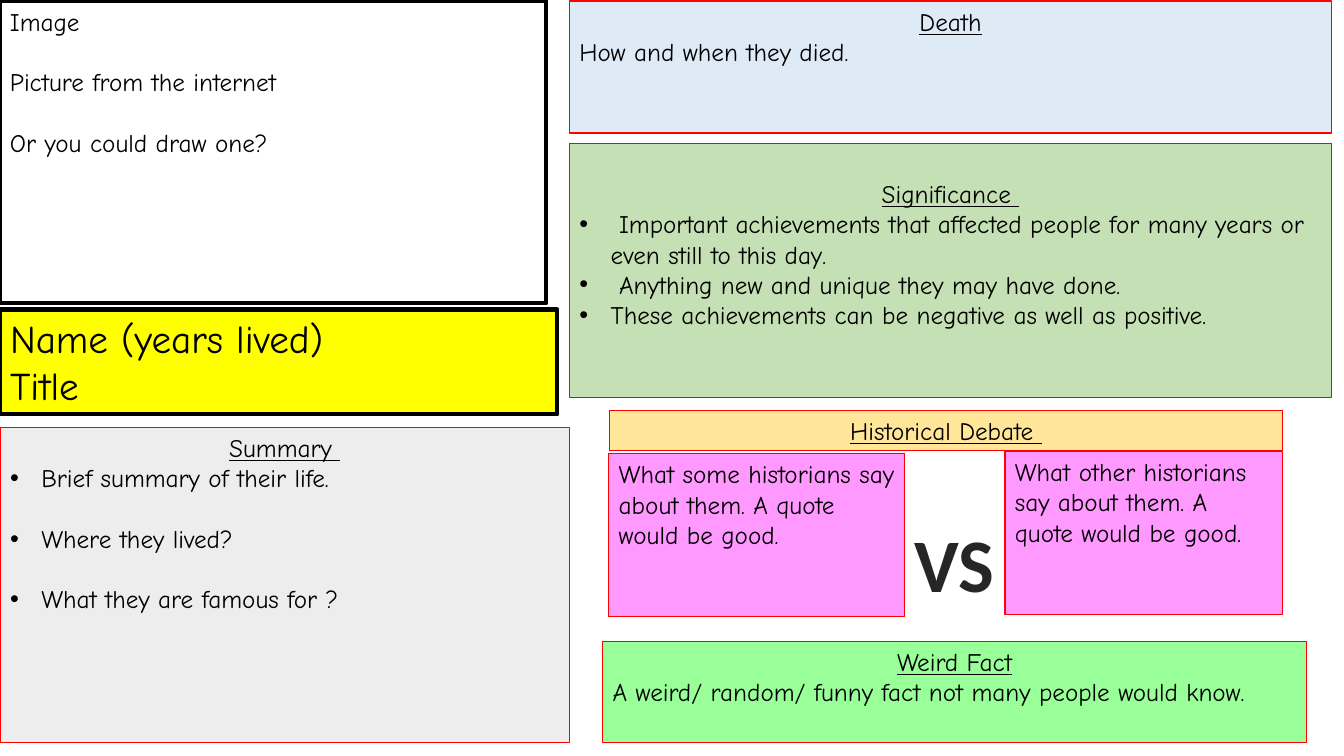
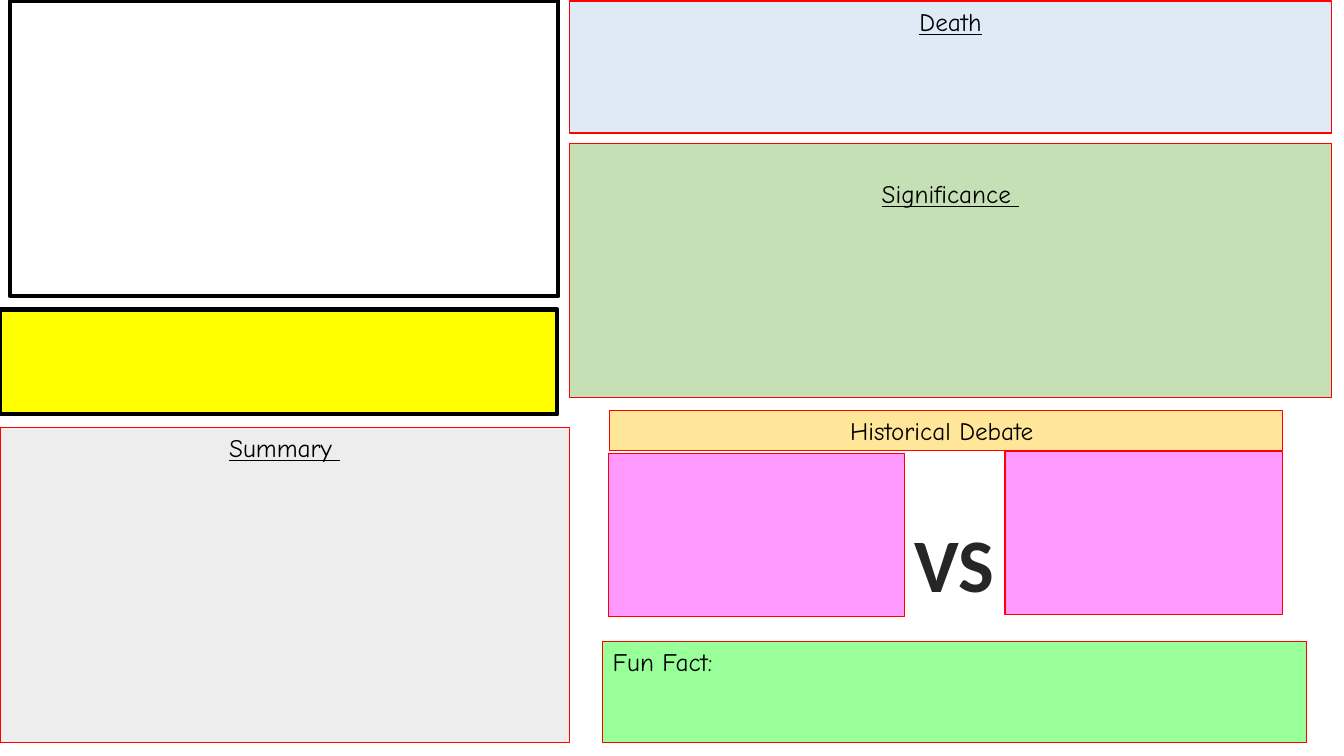
from dataclasses import dataclass, field

from lxml import etree
from pptx import Presentation
from pptx.dml.color import RGBColor
from pptx.enum.shapes import MSO_SHAPE
from pptx.enum.text import MSO_ANCHOR, MSO_AUTO_SIZE, PP_ALIGN
from pptx.oxml.ns import qn
from pptx.util import Inches, Pt

RECTANGLE = MSO_SHAPE.RECTANGLE
TOP = MSO_ANCHOR.TOP
FIXED = MSO_AUTO_SIZE.NONE
LEFT, CENTER = PP_ALIGN.LEFT, PP_ALIGN.CENTER

GRID = Inches(0.1)
SLIDE_COLUMNS, SLIDE_ROWS = 133.33, 75
CONTENT_LAYOUT = 1
TITLE_SLOT, BODY_SLOT = 0, 1


@dataclass(frozen=True)
class Theme:
    font: str = "Comic Neue"
    versus_font: str = "Calibri"
    bullet_font: str = "Arial"
    text_size: float = 18
    name_size: float = 28
    versus_size: float = 54
    blank_line: float = 21.6
    thin: float = 0.75
    thick: float = 3
    versus_outline: float = 1.06
    bullet_indent: float = 0.31
    inset: float = 0.05
    ink: str = "000000"
    versus_ink: str = "262626"
    paper: str = "FFFFFF"
    border: str = "FF0000"
    name: str = "FFFF00"
    significance: str = "C5E0B4"
    summary: str = "EDEDED"
    death: str = "DEEBF7"
    quote: str = "FF99FF"
    debate: str = "FFE699"
    fact: str = "99FF99"


THEME = Theme()


@dataclass(frozen=True)
class Frame:
    column: float
    row: float
    columns: float
    rows: float

    def lengths(self) -> tuple[int, int, int, int]:
        cells = (self.column, self.row, self.columns, self.rows)
        return tuple(round(cell * GRID) for cell in cells)


@dataclass(frozen=True)
class Line:
    text: str
    centered: bool = False
    underlined: bool = False
    bulleted: bool = False
    spaced: bool = False


@dataclass(frozen=True)
class Panel:
    frame: Frame
    fill: str | None
    border: str = THEME.border
    border_width: float = THEME.thin
    size: float = THEME.text_size
    top_inset: float = THEME.inset
    slot: int | None = None


@dataclass(frozen=True)
class Board:
    lines: dict[str, list[Line]]
    frames: dict[str, Frame] = field(default_factory=dict)


def heading(text: str) -> Line:
    return Line(text, centered=True, underlined=True)


PANELS = {
    "name": Panel(Frame(0, 30.7, 55.3, 10.4), THEME.name, THEME.ink,
                  THEME.thick, THEME.name_size, slot=TITLE_SLOT),
    "significance": Panel(Frame(56.5, 14.2, 75.6, 25.2), THEME.significance,
                          top_inset=0.35),
    "summary": Panel(Frame(0, 42.4, 56.5, 31.3), THEME.summary,
                     slot=BODY_SLOT),
    "death": Panel(Frame(56.5, 0.1, 75.6, 13.1), THEME.death),
    "first quote": Panel(Frame(60.4, 45, 29.3, 16.2), THEME.quote),
    "second quote": Panel(Frame(99.7, 44.8, 27.5, 16.2), THEME.quote),
    "debate": Panel(Frame(60.5, 40.7, 66.7, 4), THEME.debate),
    "fact": Panel(Frame(59.8, 63.6, 69.8, 10.1), THEME.fact),
    "portrait": Panel(Frame(0, 0.1, 54.2, 30), None, THEME.ink, THEME.thick),
}
VERSUS_FRAME = Frame(89.7, 50.8, 10, 10.1)

SIGNIFICANCE = heading("Significance ")
SUMMARY = heading("Summary ")
DEATH = heading("Death")

GUIDE = Board({
    "name": [Line("Name (years lived)"), Line("Title")],
    "significance": [
        SIGNIFICANCE,
        Line(" Important achievements that affected people for many years or "
             "even still to this day.", bulleted=True),
        Line(" Anything new and unique they may have done.", bulleted=True),
        Line("These achievements can be negative as well as positive.",
             bulleted=True),
    ],
    "summary": [
        SUMMARY,
        Line("Brief summary of their life.", bulleted=True),
        Line("Where they lived?", bulleted=True, spaced=True),
        Line("What they are famous for ?", bulleted=True, spaced=True),
    ],
    "death": [DEATH, Line("How and when they died.")],
    "first quote": [Line("What some historians say about them. "
                         "A quote would be good.")],
    "second quote": [Line("What other historians say about them. "
                          "A quote would be good.")],
    "debate": [heading("Historical Debate ")],
    "fact": [heading("Weird Fact"),
             Line("A weird/ random/ funny fact not many people would know.")],
    "portrait": [Line("Image"), Line("Picture from the internet", spaced=True),
                 Line("Or you could draw one?", spaced=True)],
})
TEMPLATE = Board(
    {
        "significance": [SIGNIFICANCE],
        "summary": [SUMMARY],
        "death": [DEATH],
        "debate": [Line("Historical Debate ", centered=True)],
        "fact": [Line("Fun Fact:")],
    },
    {"portrait": Frame(1, 0.1, 54.4, 29.3)},
)


def style_font(font, name: str, size: float, color: str) -> None:
    font.name = name
    font.size = Pt(size)
    font.color.rgb = RGBColor.from_string(color)


def set_bullet(paragraph, bulleted: bool) -> None:
    properties = paragraph._p.get_or_add_pPr()
    indent = Inches(THEME.bullet_indent) if bulleted else 0
    properties.set("marL", str(indent))
    properties.set("indent", str(-indent))
    if bulleted:
        etree.SubElement(properties, qn("a:buFont"),
                         typeface=THEME.bullet_font)
        etree.SubElement(properties, qn("a:buChar"), char="•")
    else:
        etree.SubElement(properties, qn("a:buNone"))


def write_lines(frame, lines: list[Line], size: float) -> None:
    for position, line in enumerate(lines):
        paragraph = frame.add_paragraph() if position else frame.paragraphs[0]
        paragraph.text = line.text
        paragraph.alignment = CENTER if line.centered else LEFT
        paragraph.line_spacing = 1.0
        paragraph.space_before = Pt(THEME.blank_line if line.spaced else 0)
        paragraph.space_after = Pt(0)
        set_bullet(paragraph, line.bulleted)
        for run in paragraph.runs:
            style_font(run.font, THEME.font, size, THEME.ink)
            run.font.underline = line.underlined


def draw_panel(slide, panel: Panel, frame: Frame, lines: list[Line]) -> None:
    lengths = frame.lengths()
    if panel.slot is not None and lines:
        box = slide.placeholders[panel.slot]
        box.left, box.top, box.width, box.height = lengths
    else:
        box = slide.shapes.add_shape(RECTANGLE, *lengths)
    box.shadow.inherit = False
    if panel.fill:
        box.fill.solid()
        box.fill.fore_color.rgb = RGBColor.from_string(panel.fill)
    else:
        box.fill.background()
    box.line.color.rgb = RGBColor.from_string(panel.border)
    box.line.width = Pt(panel.border_width)
    content = box.text_frame
    content.word_wrap = True
    content.auto_size = FIXED
    content.vertical_anchor = TOP
    content.margin_top = Inches(panel.top_inset)
    write_lines(content, lines, panel.size)


def draw_versus(slide) -> None:
    content = slide.shapes.add_textbox(*VERSUS_FRAME.lengths()).text_frame
    content.word_wrap = False
    content.text = "VS"
    paragraph = content.paragraphs[0]
    paragraph.alignment = CENTER
    font = paragraph.runs[0].font
    style_font(font, THEME.versus_font, THEME.versus_size, THEME.versus_ink)
    font.bold = True
    outline = etree.Element(qn("a:ln"), w=str(Pt(THEME.versus_outline)))
    paint = etree.SubElement(outline, qn("a:solidFill"))
    etree.SubElement(paint, qn("a:srgbClr"), val=THEME.paper)
    paragraph.runs[0]._r.get_or_add_rPr().insert(0, outline)


def draw_board(deck, board: Board) -> None:
    slide = deck.slides.add_slide(deck.slide_layouts[CONTENT_LAYOUT])
    for part, panel in PANELS.items():
        draw_panel(slide, panel, board.frames.get(part, panel.frame),
                   board.lines.get(part, []))
    draw_versus(slide)
    for placeholder in list(slide.placeholders):
        if not placeholder.text_frame.text:
            placeholder._element.getparent().remove(placeholder._element)


def main() -> None:
    deck = Presentation()
    deck.slide_width = round(SLIDE_COLUMNS * GRID)
    deck.slide_height = SLIDE_ROWS * GRID
    for board in (GUIDE, TEMPLATE):
        draw_board(deck, board)
    deck.save("out.pptx")


if __name__ == "__main__":
    main()
